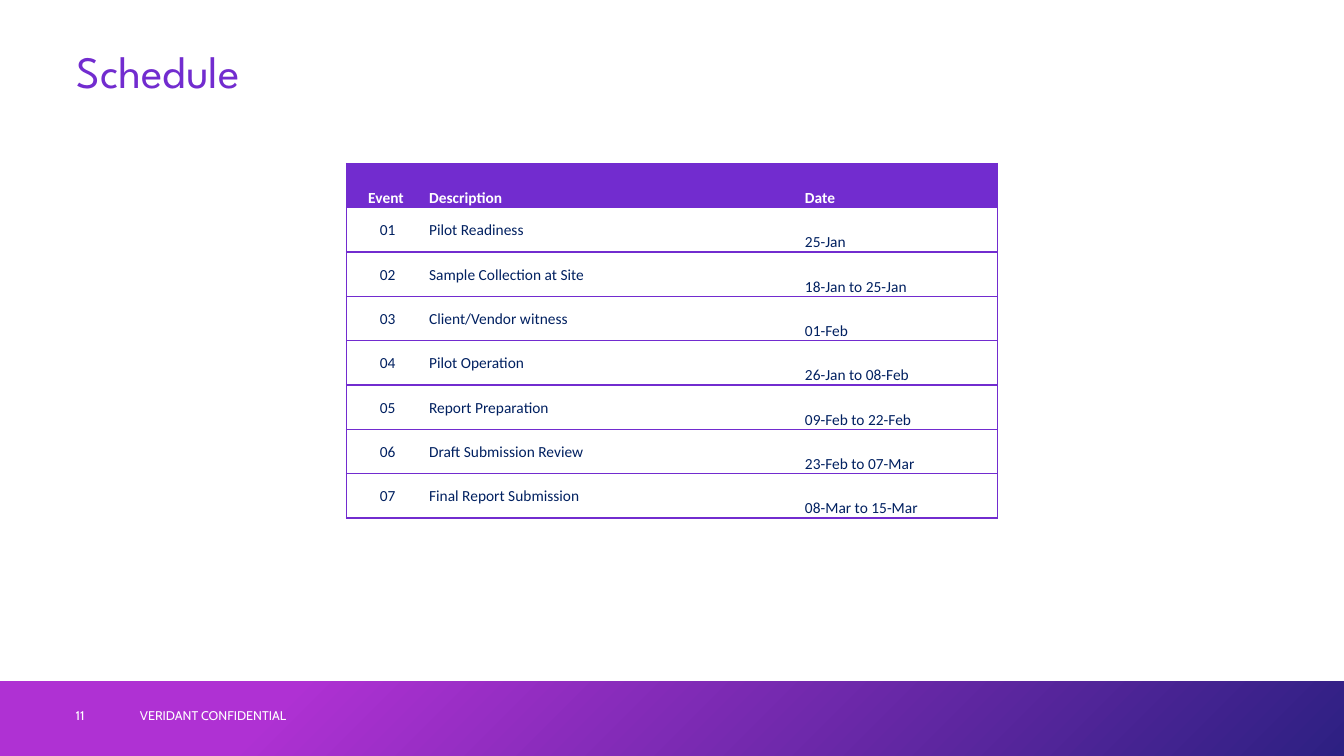
import pptx
import pptx.dml.color
import pptx.enum.shapes
import pptx.enum.text
import pptx.oxml.ns
import pptx.util
from lxml import etree

Pt = pptx.util.Pt
ALIGN = pptx.enum.text.PP_ALIGN
ANCHOR = pptx.enum.text.MSO_ANCHOR

SCHEDULE = [
    ("Pilot Readiness", "25-Jan"),
    ("Sample Collection at Site", "18-Jan to 25-Jan"),
    ("Client/Vendor witness", "01-Feb"),
    ("Pilot Operation", "26-Jan to 08-Feb"),
    ("Report Preparation", "09-Feb to 22-Feb"),
    ("Draft Submission Review", "23-Feb to 07-Mar"),
    ("Final Report Submission", "08-Mar to 15-Mar"),
]


def rgb(code):
    return pptx.dml.color.RGBColor.from_string(code)


def set_insets(target, left, top, right, bottom):
    target.margin_left, target.margin_top = Pt(left), Pt(top)
    target.margin_right, target.margin_bottom = Pt(right), Pt(bottom)


def write(frame, text, *, font, size, color, bold=False, align=ALIGN.LEFT,
          line_spacing=1.0, space_after=0):
    frame.word_wrap = True
    paragraph = frame.paragraphs[0]
    paragraph.text = text
    paragraph.alignment = align
    paragraph.line_spacing = line_spacing
    paragraph.space_after = Pt(space_after)
    run_font = paragraph.runs[0].font
    run_font.name, run_font.size, run_font.bold = font, Pt(size), bold
    run_font.color.rgb = rgb(color)


def set_borders(cell, visible, color):
    """Draw 1 pt lines on the visible sides (letters of LRTB) and clear the others."""
    properties = cell._tc.get_or_add_tcPr()
    for position, side in enumerate("LRTB"):
        line = etree.Element(pptx.oxml.ns.qn(f"a:ln{side}"), w=str(Pt(1)))
        if side in visible:
            solid = etree.SubElement(line, pptx.oxml.ns.qn("a:solidFill"))
            etree.SubElement(solid, pptx.oxml.ns.qn("a:srgbClr"), val=color)
        else:
            etree.SubElement(line, pptx.oxml.ns.qn("a:noFill"))
        properties.insert(position, line)


class ScheduleSlide:
    PURPLE, NAVY, WHITE = "722CCF", "002060", "FFFFFF"
    BAND = [(0.21, "AF31D3"), (1, "2D2082")]
    TITLE_FONT, FOOTER_FONT, TABLE_FONT = "League Spartan", "Cabin", "Calibri"

    def __init__(self, presentation):
        self.slide = presentation.slides.add_slide(presentation.slide_layouts[5])

    def footer_band(self, left, top, width, height):
        band = self.slide.shapes.add_shape(
            pptx.enum.shapes.MSO_SHAPE.RECTANGLE,
            Pt(left), Pt(top), Pt(width), Pt(height))
        band.shadow.inherit = False
        band.line.fill.background()
        band.fill.gradient()
        band.fill.gradient_angle = 315
        for stop, (position, color) in zip(band.fill.gradient_stops, self.BAND):
            stop.position = position
            stop.color.rgb = rgb(color)

    def title(self, text, left, top, width, height):
        heading = self.slide.shapes.title
        heading.left, heading.top = Pt(left), Pt(top)
        heading.width, heading.height = Pt(width), Pt(height)
        frame = heading.text_frame
        frame.auto_size = pptx.enum.text.MSO_AUTO_SIZE.NONE
        frame.vertical_anchor = ANCHOR.MIDDLE
        set_insets(frame, 0, 3.6, 7.2, 3.6)
        write(frame, text, font=self.TITLE_FONT, size=32, color=self.PURPLE,
              line_spacing=0.9)

    def footer_text(self, text, left, width, inset=7.2):
        footer = self.slide.shapes.add_textbox(
            Pt(left), Pt(496.8), Pt(width), Pt(28.8))
        frame = footer.text_frame
        frame.vertical_anchor = ANCHOR.MIDDLE
        set_insets(frame, inset, 3.6, 7.2, 3.6)
        write(frame, text, font=self.FOOTER_FONT, size=9, color=self.WHITE)

    def table(self, header, body, left, top, widths, row_height):
        rows = [header] + body
        table = self.slide.shapes.add_table(
            len(rows), len(widths), Pt(left), Pt(top),
            Pt(sum(widths)), Pt(row_height * len(rows))).table
        table.horz_banding = False
        for column, width in zip(table.columns, widths):
            column.width = Pt(width)
        for row_index, values in enumerate(rows):
            table.rows[row_index].height = Pt(row_height)
            for column_index, value in enumerate(values):
                self.cell(table.cell(row_index, column_index), value,
                          is_header=row_index == 0,
                          is_first=column_index == 0,
                          is_last=column_index == len(widths) - 1)

    def cell(self, cell, text, is_header, is_first, is_last):
        set_insets(cell, 0, 0, 0, 0)
        cell.vertical_anchor = ANCHOR.BOTTOM if is_header or is_last else ANCHOR.MIDDLE
        if is_header:
            cell.fill.solid()
            cell.fill.fore_color.rgb = rgb(self.PURPLE)
        else:
            cell.fill.background()
        set_borders(cell, "TB" + "L" * is_first + "R" * is_last, self.PURPLE)
        write(cell.text_frame, text, font=self.TABLE_FONT, size=11, bold=is_header,
              color=self.WHITE if is_header else self.NAVY,
              align=ALIGN.CENTER if is_first else ALIGN.JUSTIFY,
              line_spacing=1.07, space_after=8)


def main():
    presentation = pptx.Presentation()
    presentation.slide_width, presentation.slide_height = Pt(960), Pt(540)
    page = ScheduleSlide(presentation)
    page.footer_band(0, 486.5, 960, 53.5)
    page.title("Schedule", 54.72, 28.8, 850.3, 48.2)
    page.footer_text("VERIDANT CONFIDENTIAL", 92.9, 324)
    page.footer_text("11", 54, 38.9, inset=0)
    events = [(f"{number:02}", *event) for number, event in enumerate(SCHEDULE, 1)]
    page.table(("Event ", "Description", "Date"), events,
               247.5, 116.7, (59, 268.5, 137.5), 31.68)
    presentation.save("out.pptx")


if __name__ == "__main__":
    main()
